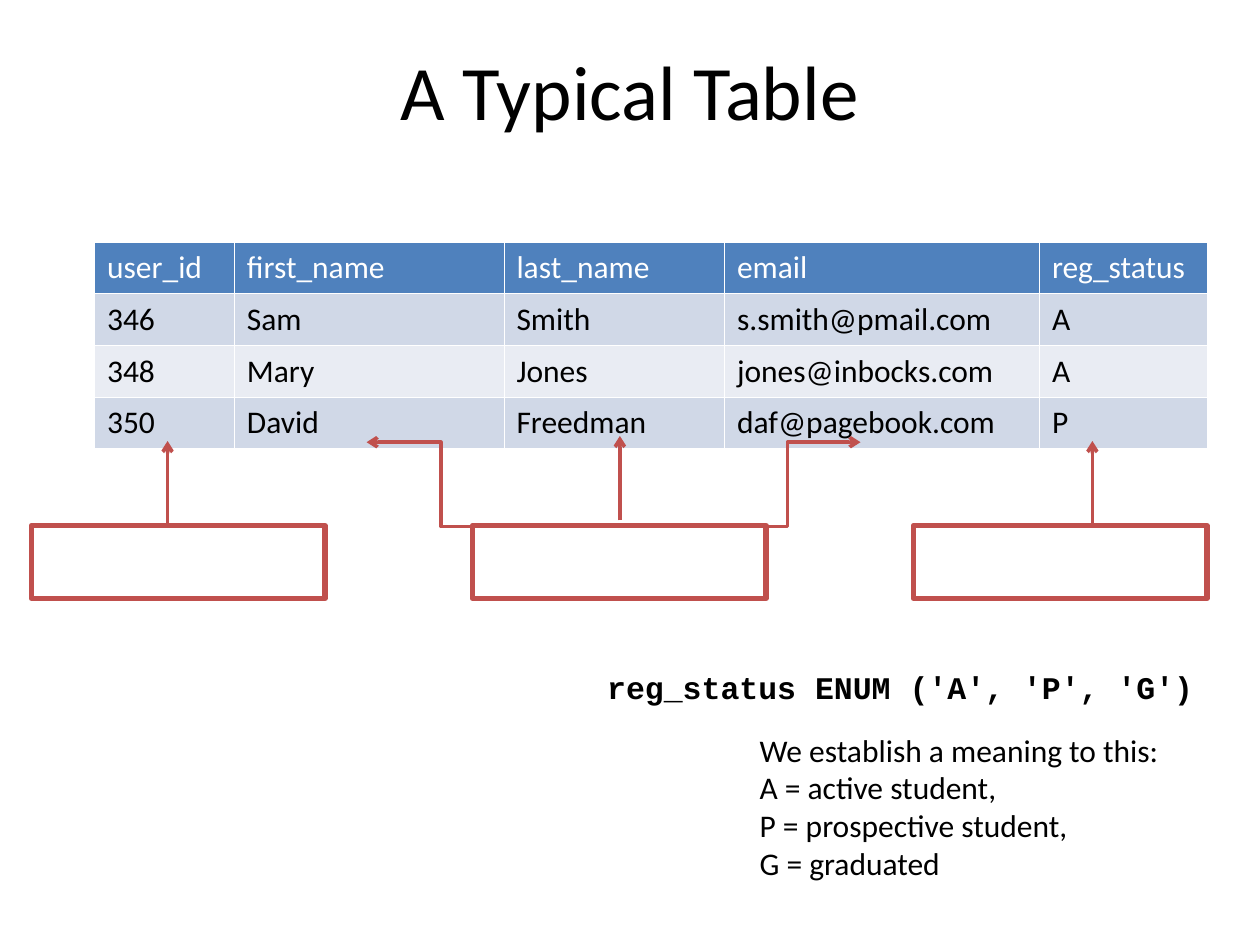
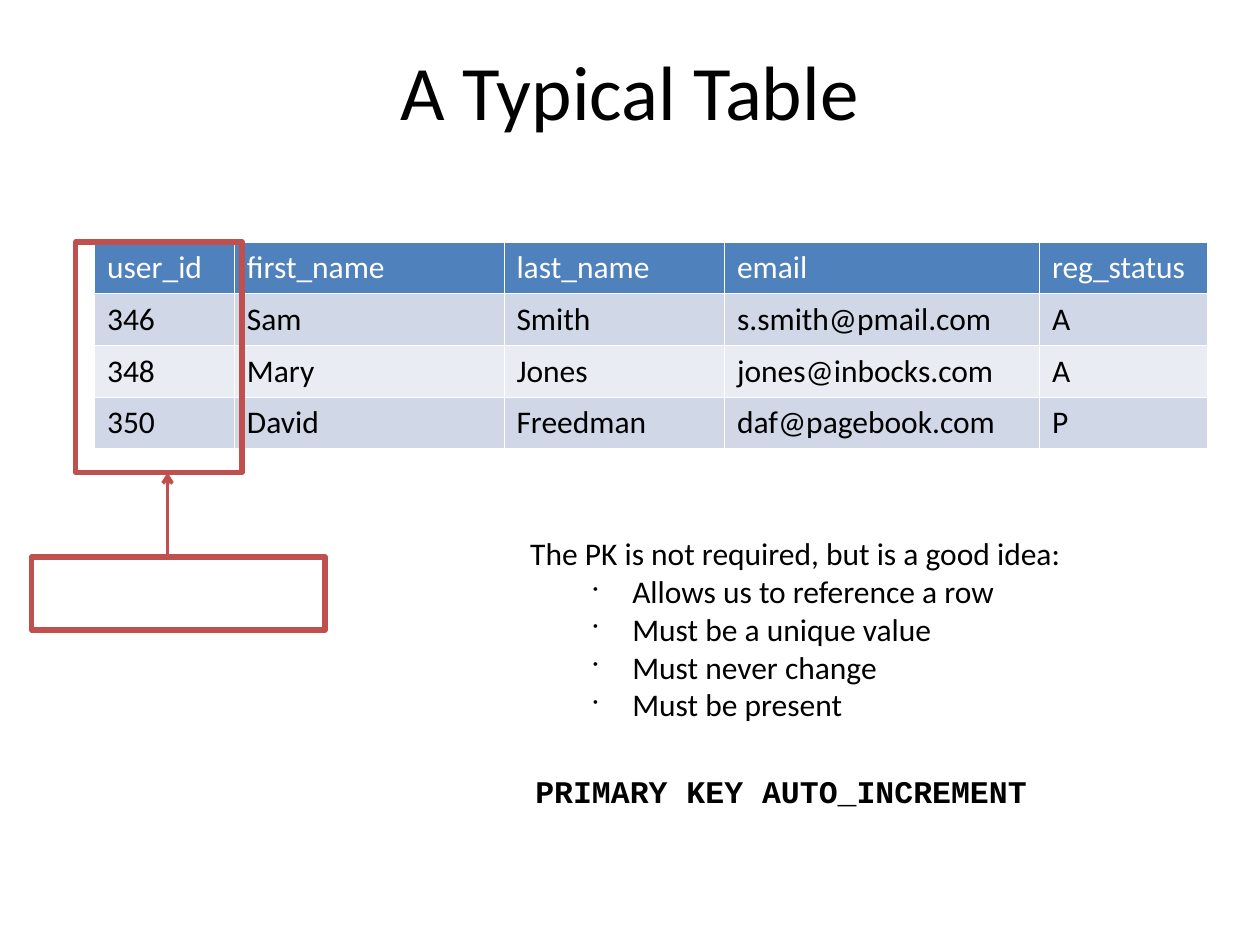
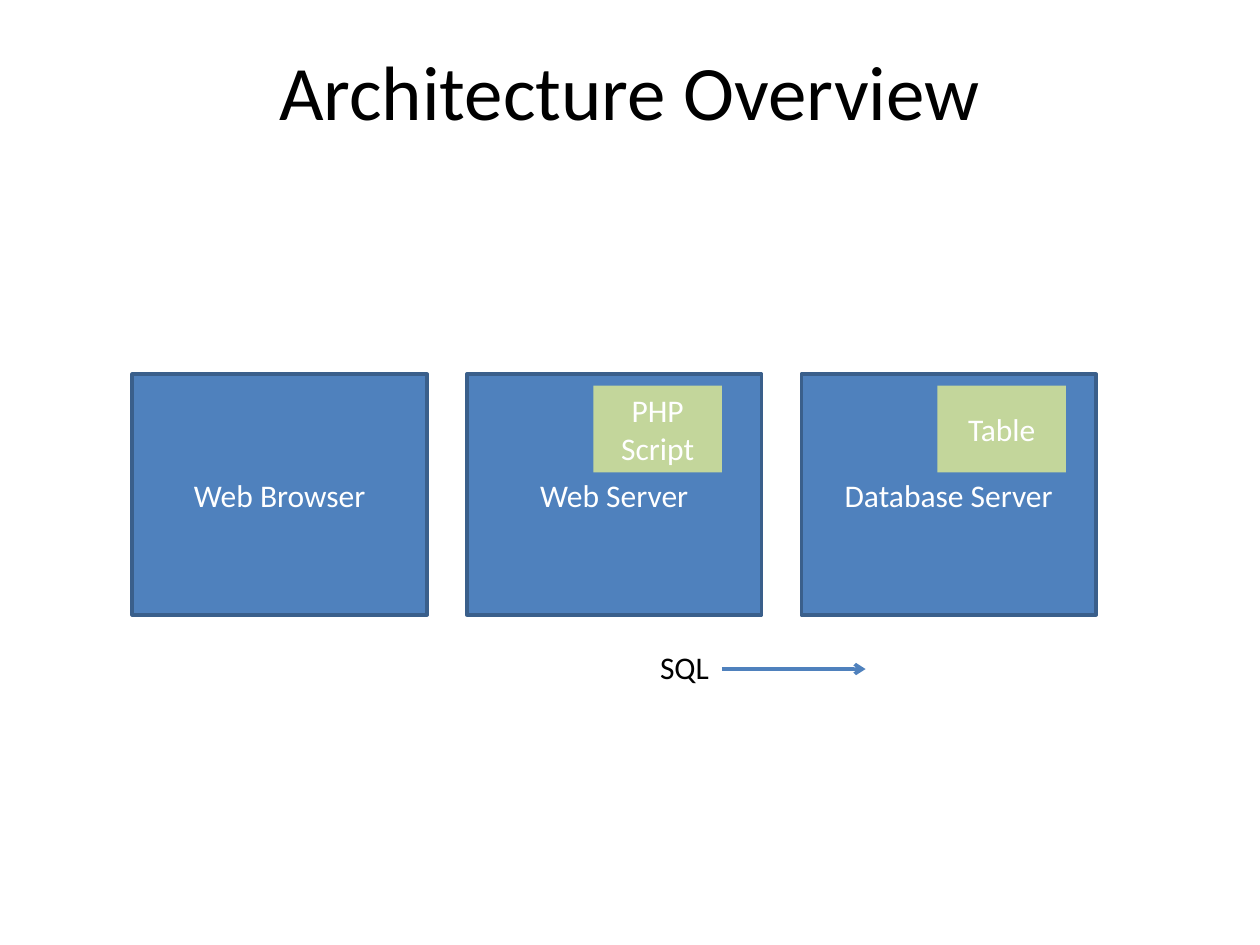
from lxml import etree
from pptx import Presentation
from pptx.dml.color import RGBColor
from pptx.enum.shapes import MSO_CONNECTOR, MSO_SHAPE
from pptx.enum.text import MSO_ANCHOR, PP_ALIGN
from pptx.oxml.ns import qn
from pptx.util import Inches, Pt

BLACK = RGBColor(0x00, 0x00, 0x00)
WHITE = RGBColor(0xFF, 0xFF, 0xFF)
BLUE = RGBColor(0x4F, 0x81, 0xBD)
DARK_BLUE = RGBColor(0x3A, 0x5F, 0x8B)
RED = RGBColor(0xC0, 0x50, 0x4D)
GREEN = RGBColor(0xC3, 0xD6, 0x9B)
BAND_DARK = RGBColor(0xD0, 0xD8, 0xE7)
BAND_LIGHT = RGBColor(0xE9, 0xEC, 0xF3)

BODY_FONT = "Calibri"
CODE_FONT = "Courier New"
BODY_SIZE = 18
TITLE_SIZE = 44

RECTANGLE = MSO_SHAPE.RECTANGLE
STRAIGHT = MSO_CONNECTOR.STRAIGHT
ELBOW = MSO_CONNECTOR.ELBOW
CENTER = PP_ALIGN.CENTER
MIDDLE = MSO_ANCHOR.MIDDLE

TITLES = ["A Typical Table", "A Typical Table", "Architecture Overview"]
USERS = [
    ["user_id", "first_name", "last_name", "email", "reg_status"],
    ["346", "Sam", "Smith", "s.smith@pmail.com", "A"],
    ["348", "Mary", "Jones", "jones@inbocks.com", "A"],
    ["350", "David", "Freedman", "daf@pagebook.com", "P"],
]
COLUMN_WIDTHS = [1.11, 2.14, 1.75, 2.5, 1.33]
ROW_HEIGHT = 0.41


def add_run(paragraph, text, color=BLACK, size=BODY_SIZE, font=BODY_FONT, bold=False):
    run = paragraph.add_run()
    run.text = text
    run.font.name = font
    run.font.size = Pt(size)
    run.font.bold = bold
    run.font.color.rgb = color


def add_arrow(slide, kind, start, end, color):
    arrow = slide.shapes.add_connector(kind, *map(Inches, start + end))
    arrow.line.color.rgb = color
    arrow.line.width = Pt(2)
    etree.SubElement(arrow.line._get_or_add_ln(), qn("a:tailEnd"), type="arrow")
    etree.SubElement(arrow._element.spPr, qn("a:effectLst"))


prs = Presentation()
prs.slide_width = Inches(10)
prs.slide_height = Inches(7.5)

# Titles
for title in TITLES:
    slide = prs.slides.add_slide(prs.slide_layouts[6])
    heading = slide.shapes.add_textbox(Inches(0.5), Inches(0.3), Inches(9), Inches(1.25))
    heading.text_frame.word_wrap = True
    paragraph = heading.text_frame.paragraphs[0]
    paragraph.alignment = CENTER
    add_run(paragraph, title, size=TITLE_SIZE)

columns_slide, key_slide, architecture_slide = prs.slides

# User table on both table slides
for slide in (columns_slide, key_slide):
    users = slide.shapes.add_table(
        len(USERS), len(COLUMN_WIDTHS), Inches(0.75), Inches(1.92),
        Inches(sum(COLUMN_WIDTHS)), Inches(ROW_HEIGHT * len(USERS))).table
    users.horz_banding = False
    users.first_row = False
    for column, width in zip(users.columns, COLUMN_WIDTHS):
        column.width = Inches(width)
    for r, record in enumerate(USERS):
        users.rows[r].height = Inches(ROW_HEIGHT)
        row_fill = BLUE if r == 0 else BAND_DARK if r % 2 else BAND_LIGHT
        for c, value in enumerate(record):
            cell = users.cell(r, c)
            paragraph = cell.text_frame.paragraphs[0]
            paragraph.line_spacing = 1.02
            add_run(paragraph, value, WHITE if r == 0 else BLACK)
            borders = cell._tc.get_or_add_tcPr()
            for side in ("a:lnL", "a:lnR", "a:lnT", "a:lnB"):
                border = etree.SubElement(borders, qn(side), w=str(Pt(0.45)))
                border_fill = etree.SubElement(border, qn("a:solidFill"))
                etree.SubElement(border_fill, qn("a:srgbClr"), val=str(WHITE))
            cell.fill.solid()
            cell.fill.fore_color.rgb = row_fill

# Empty label frames, and the frame around the key column
LABEL_SIZE = (2.33, 0.58)
frames = [(columns_slide, (left, 4.17) + LABEL_SIZE) for left in (0.25, 3.75, 7.25)]
frames += [(key_slide, (0.25, 4.42) + LABEL_SIZE), (key_slide, (0.6, 1.92, 1.32, 1.83))]
for slide, place in frames:
    frame = slide.shapes.add_shape(RECTANGLE, *map(Inches, place))
    frame.shadow.inherit = False
    frame.fill.background()
    frame.line.color.rgb = RED
    frame.line.width = Pt(3)

# Arrows from the labels to the columns
for slide, x, bottom in [(columns_slide, 1.33, 4.17), (columns_slide, 4.92, 4.13),
                         (columns_slide, 8.67, 4.17), (key_slide, 1.33, 4.42)]:
    add_arrow(slide, STRAIGHT, (x, bottom), (x, bottom - 0.67), RED)
for start_x, end_x in [(4.09, 2.91), (5.67, 6.83)]:
    add_arrow(columns_slide, ELBOW, (start_x, 4.18), (end_x, 3.51), RED)

# Notes and code beside the tables, and the label of the query arrow
MEANING = ["We establish a meaning to this:", "A = active student,",
           "P = prospective student,", "G = graduated"]
captions = [
    (columns_slide, (4.72, 5.25, 4.85, 0.4), ["reg_status ENUM ('A', 'P', 'G')"], True),
    (columns_slide, (5.93, 5.75, 3.38, 1.3), MEANING, False),
    (key_slide, (4.15, 6.08, 4.1, 0.4), ["PRIMARY KEY AUTO_INCREMENT"], True),
    (key_slide, (4.11, 4.19, 4.42, 1.6), ["The PK is not required, but is a good idea:"], False),
    (architecture_slide, (5.14, 5.09, 0.59, 0.4), ["SQL"], False),
]
for slide, place, lines, is_code in captions:
    caption = slide.shapes.add_textbox(*map(Inches, place)).text_frame
    caption.word_wrap = False
    paragraph = caption.paragraphs[0]
    for i, line in enumerate(lines):
        if i:
            paragraph.add_line_break()
        add_run(paragraph, line, font=CODE_FONT if is_code else BODY_FONT, bold=is_code)
    if lines[0].startswith("The PK"):
        key_note = caption

# Rules for the primary key
for rule in ["Allows us to reference a row", "Must be a unique value",
             "Must never change", "Must be present"]:
    paragraph = key_note.add_paragraph()
    paragraph.level = 1
    properties = paragraph._p.get_or_add_pPr()
    properties.set("marL", str(Inches(0.81)))
    properties.set("indent", str(Inches(-0.31)))
    bullet_color = etree.SubElement(properties, qn("a:buClr"))
    etree.SubElement(bullet_color, qn("a:srgbClr"), val=str(BLACK))
    etree.SubElement(properties, qn("a:buSzPct"), val="45000")
    etree.SubElement(properties, qn("a:buChar"), char="•")
    add_run(paragraph, rule)

# Architecture tiers, then the parts that run inside them
TIER_TOP, TIER_STEP = 2.97, 2.655
blocks = [((1.05 + i * TIER_STEP, TIER_TOP, 2.34, 1.91), name, BLUE)
          for i, name in enumerate(["Web Browser", "Web Server", "Database Server"])]
blocks += [((left, 3.06, 1.02, 0.69), name, GREEN)
           for left, name in [(4.71, "PHP Script"), (7.44, "Table")]]
for place, name, color in blocks:
    block = architecture_slide.shapes.add_shape(RECTANGLE, *map(Inches, place))
    block.shadow.inherit = False
    block.fill.solid()
    block.fill.fore_color.rgb = color
    if color == BLUE:
        block.line.color.rgb = DARK_BLUE
        block.line.width = Pt(2)
    else:
        block.line.fill.background()
    block.text_frame.word_wrap = True
    block.text_frame.vertical_anchor = MIDDLE
    paragraph = block.text_frame.paragraphs[0]
    paragraph.alignment = CENTER
    add_run(paragraph, name, WHITE)

# Query arrow
add_arrow(architecture_slide, STRAIGHT, (5.73, 5.31), (6.87, 5.31), BLUE)

prs.save("out.pptx")
